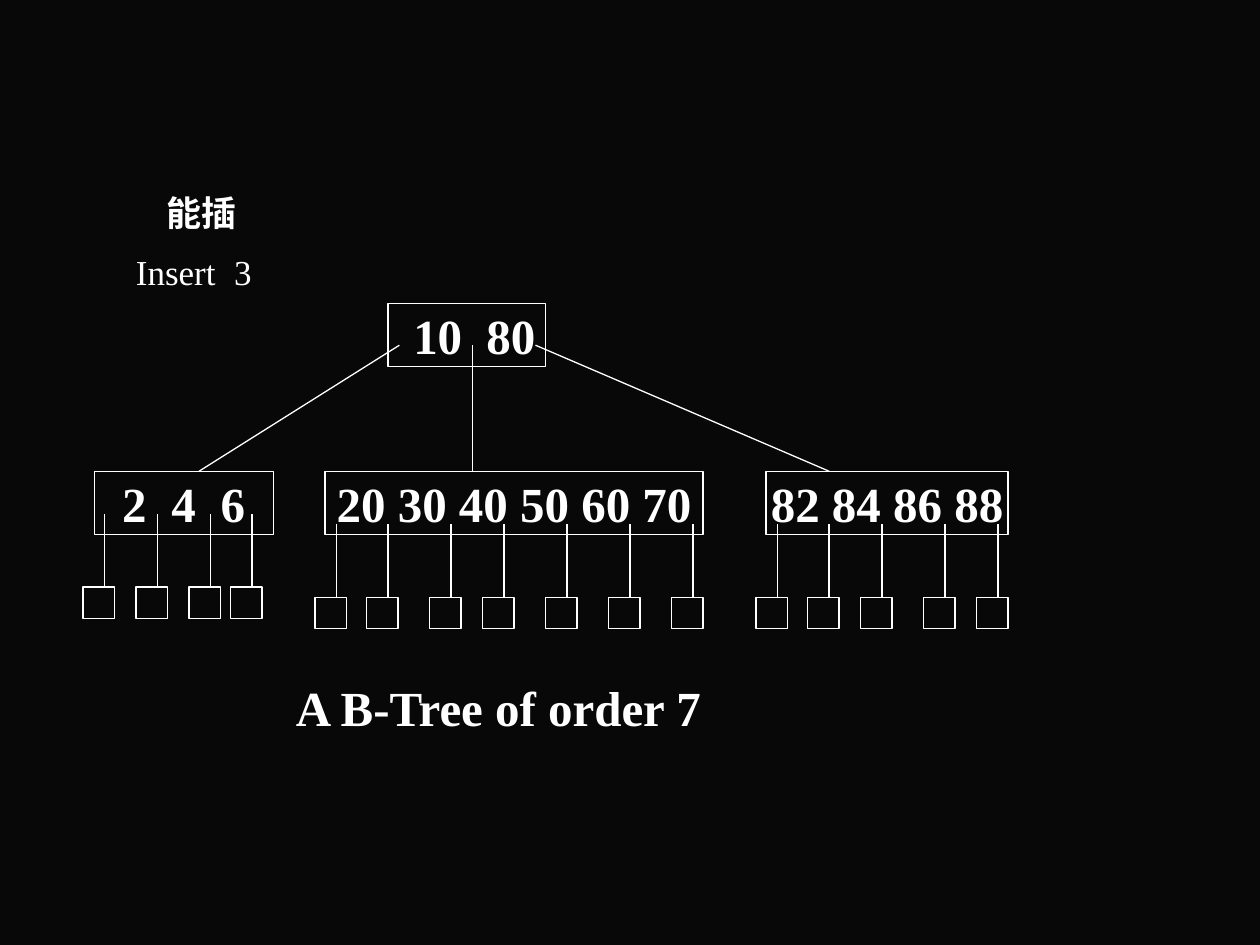
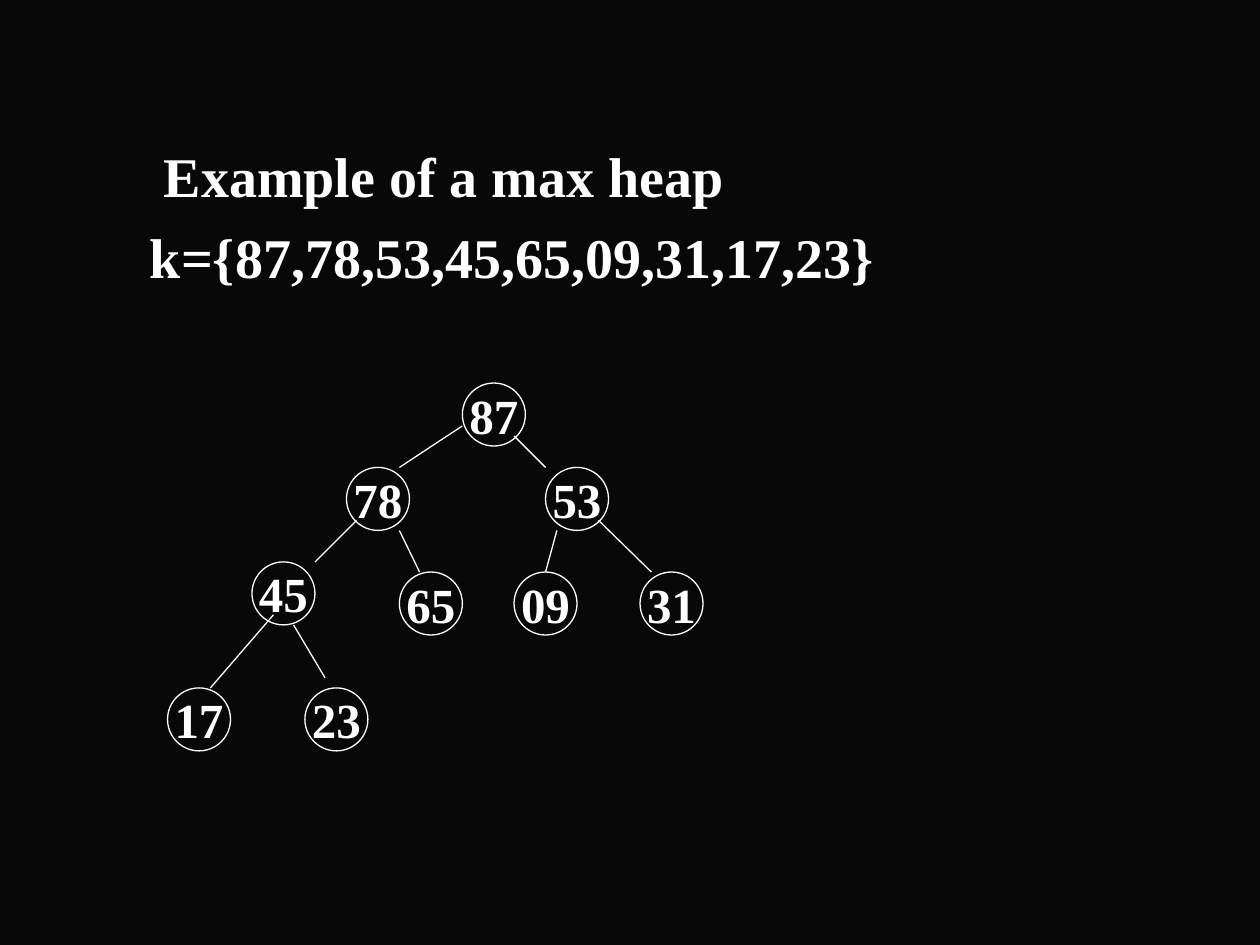
from pptx import Presentation
from pptx.dml.color import RGBColor
from pptx.enum.shapes import MSO_CONNECTOR, MSO_SHAPE
from pptx.enum.text import MSO_ANCHOR, PP_ALIGN
from pptx.oxml.xmlchemy import OxmlElement
from pptx.util import Inches, Pt

WHITE = RGBColor.from_string("FFFFFF")
BLACK = RGBColor.from_string("080808")
FONT = "Times New Roman"


def outline(sp):
    """Give a shape or connector a thin white line and no shadow."""
    sp.line.color.rgb = WHITE
    sp.line.width = Pt(0.75)
    sp._element.spPr.append(OxmlElement("a:effectLst"))


def write(p, text, size=28, bold=True, align=PP_ALIGN.LEFT, tab_step=None):
    """Fill a paragraph; tab_step sets evenly spaced tab stops in inches."""
    p.text = text
    p.alignment = align
    if tab_step:
        stops = OxmlElement("a:tabLst")
        for i in range(text.count("\t")):
            stop = OxmlElement("a:tab")
            stop.set("pos", str(Inches(tab_step * (i + 1))))
            stop.set("algn", "l")
            stops.append(stop)
        p._p.get_or_add_pPr().append(stops)
    for r in p.runs:
        r.font.name = FONT
        r.font.size = Pt(size)
        r.font.bold = bold
        r.font.color.rgb = WHITE


prs = Presentation()
prs.slide_width, prs.slide_height = Inches(10), Inches(7.5)
fill = prs.slide_master.background.fill
fill.solid()
fill.fore_color.rgb = BLACK

# Slide 1: B-tree
s = prs.slides.add_slide(prs.slide_layouts[6])

# left, top, width, keys, left margin and tab step (None: keys are centred)
tree_nodes = [
    (3.08, 2.41, 1.25, "10\t80", 0.2, 0.58),
    (0.75, 3.74, 1.42, "2\t4\t6", 0.22, 0.39),
    (2.58, 3.74, 3, "20 30 40 50 60 70", 0, None),
    (6.08, 3.74, 1.92, "82 84 86 88", 0, None),
]
for left, top, width, keys, margin, tab_step in tree_nodes:
    sp = s.shapes.add_shape(MSO_SHAPE.RECTANGLE, Inches(left), Inches(top),
                            Inches(width), Inches(0.5))
    sp.fill.background()
    outline(sp)
    tf = sp.text_frame
    tf.word_wrap = True
    tf.vertical_anchor = MSO_ANCHOR.MIDDLE
    tf.margin_left = Inches(margin)
    tf.margin_right = tf.margin_top = tf.margin_bottom = 0
    align = PP_ALIGN.LEFT if tab_step else PP_ALIGN.CENTER
    write(tf.paragraphs[0], keys, align=align, tab_step=tab_step)

for x1, x2 in [(3.17, 1.58), (3.75, 3.75), (4.25, 6.58)]:
    outline(s.shapes.add_connector(MSO_CONNECTOR.STRAIGHT, Inches(x1), Inches(2.74),
                                   Inches(x2), Inches(3.74)))

leaf_rows = [
    (4.08, [0.83, 1.25, 1.67, 2]),
    (4.16, [2.67, 3.08, 3.58, 4, 4.5, 5, 5.5]),
    (4.16, [6.17, 6.58, 7, 7.5, 7.92]),
]
for stem_top, stems in leaf_rows:
    leaf_top = Inches(stem_top + 0.58)
    for x in stems:
        outline(s.shapes.add_connector(MSO_CONNECTOR.STRAIGHT, Inches(x),
                                       Inches(stem_top), Inches(x), leaf_top))
        leaf = s.shapes.add_shape(MSO_SHAPE.RECTANGLE, Inches(x - 0.17), leaf_top,
                                  Inches(0.25), Inches(0.25))
        leaf.fill.background()
        outline(leaf)

labels = [
    (2.25, 5.33, 4.32, 0.57, "A B-Tree of order 7", 28, True, None),
    (0.98, 1.94, 1.12, 0.44, "Insert\t3", 20, False, 0.78),
    (1.22, 1.47, 1.57, 0.44, "能插", 20, True, None),
]
for left, top, width, height, text, size, bold, tab_step in labels:
    tf = s.shapes.add_textbox(Inches(left), Inches(top), Inches(width),
                              Inches(height)).text_frame
    tf.word_wrap = True
    write(tf.paragraphs[0], text, size, bold, tab_step=tab_step)

# Slide 2: max heap
s = prs.slides.add_slide(prs.slide_layouts[1])
title = s.shapes.title._element
title.getparent().remove(title)
body = s.placeholders[1]
body.left, body.top = Inches(0.75), Inches(1.07)
body.width, body.height = Inches(8.5), Inches(4.75)
tf = body.text_frame
body_lines = [
    (tf.paragraphs[0], "Example of a max heap", 0.45, 0),
    (tf.add_paragraph(), "k={87,78,53,45,65,09,31,17,23}", 0.34, 8),
]
for p, text, indent, space_before in body_lines:
    p.space_before = Pt(space_before)
    pPr = p._p.get_or_add_pPr()
    pPr.set("marL", str(Inches(indent)))
    pPr.set("indent", "0")
    pPr.append(OxmlElement("a:buNone"))
    write(p, text, 32)

heap_nodes = [
    ("87", 3.67, 3.04), ("78", 2.75, 3.71), ("53", 4.33, 3.71),
    ("45", 2, 4.46), ("65", 3.17, 4.54), ("09", 4.08, 4.54),
    ("31", 5.08, 4.54), ("17", 1.33, 5.46), ("23", 2.42, 5.46),
]
for key, left, top in heap_nodes:
    sp = s.shapes.add_shape(MSO_SHAPE.OVAL, Inches(left), Inches(top),
                            Inches(0.5), Inches(0.5))
    sp.fill.background()
    outline(sp)
    tf = sp.text_frame
    tf.word_wrap = False
    tf.vertical_anchor = MSO_ANCHOR.MIDDLE
    write(tf.paragraphs[0], key, align=PP_ALIGN.CENTER)

heap_edges = [
    (3.67, 3.38, 3.17, 3.71), (4.08, 3.46, 4.33, 3.71),
    (2.83, 4.13, 2.5, 4.46), (3.17, 4.21, 3.33, 4.54),
    (4.42, 4.21, 4.33, 4.54), (4.75, 4.13, 5.17, 4.54),
    (2.17, 4.88, 1.67, 5.46), (2.33, 4.96, 2.58, 5.38),
]
for edge in heap_edges:
    outline(s.shapes.add_connector(MSO_CONNECTOR.STRAIGHT, *map(Inches, edge)))

prs.save("out.pptx")
